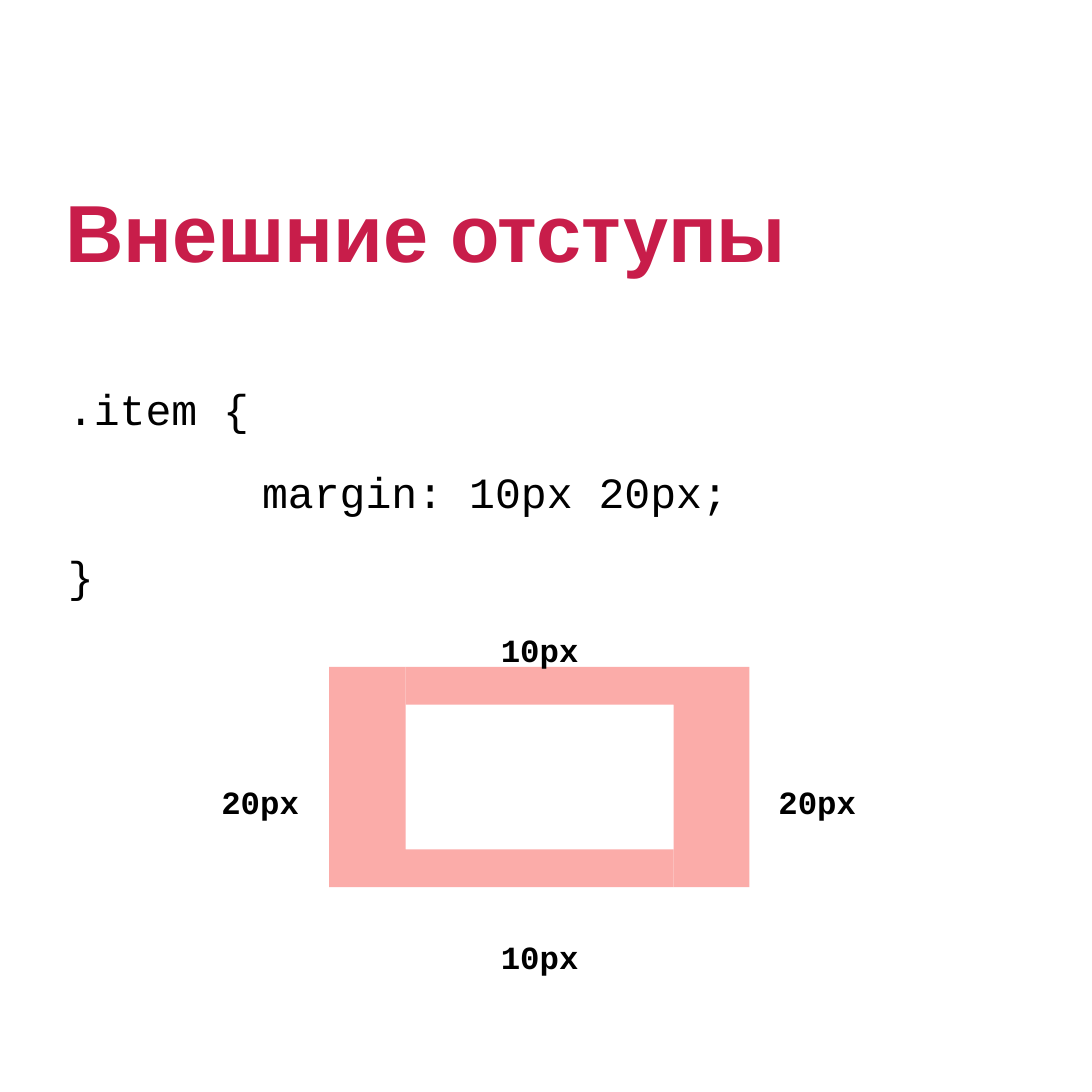
from pptx import Presentation
from pptx.dml.color import RGBColor
from pptx.enum.text import MSO_ANCHOR
from pptx.util import Inches, Pt

TOP = MSO_ANCHOR.TOP
BLANK_LAYOUT = 6


def color(value):
    return RGBColor.from_string(value)


class MarginSlide:
    """Draws the text and the margin diagram in one style."""

    code_font = "Courier New"
    heading_font = "Arial"
    ink = "000000"
    accent = "C81D4A"
    margin_fill = "FBACA9"

    def __init__(self, presentation):
        self.slide = presentation.slides.add_slide(presentation.slide_layouts[BLANK_LAYOUT])

    def text_box(self, left, top, width, height):
        shape = self.slide.shapes.add_textbox(
            Inches(left), Inches(top), Inches(width), Inches(height))
        frame = shape.text_frame
        frame.word_wrap = True
        frame.vertical_anchor = TOP
        frame.margin_left = frame.margin_top = Inches(0.01)
        frame.margin_right = frame.margin_bottom = 0
        return frame

    def line(self, paragraph, text, size, bold=False, font=code_font, fill=ink,
             indent=0, before=1):
        paragraph.space_before = Pt(before)
        paragraph._p.get_or_add_pPr().set("marL", str(Inches(indent)))
        run = paragraph.add_run()
        run.text = text
        run.font.name = font
        run.font.size = Pt(size)
        run.font.bold = bold
        run.font.color.rgb = color(fill)

    def title(self, text):
        frame = self.text_box(0.66, 1.86, 7.62, 1.93)
        self.line(frame.paragraphs[0], text, 60, True, self.heading_font, self.accent)

    def code(self, lines):
        frame = self.text_box(0.69, 3.93, 6.84, 2.98)
        for index, (text, size, bold, indent, before) in enumerate(lines):
            paragraph = frame.add_paragraph() if index else frame.paragraphs[0]
            self.line(paragraph, text, size, bold, indent=indent, before=before)

    def label(self, text, left, top):
        frame = self.text_box(left, top, 0.83, 0.43)
        self.line(frame.paragraphs[0], text, 24, True)

    def band(self, *outlines):
        outlines = [[(Inches(x), Inches(y)) for x, y in outline] for outline in outlines]
        builder = self.slide.shapes.build_freeform(*outlines[0][0])
        for index, outline in enumerate(outlines):
            if index:
                builder.move_to(*outline[0])
            builder.add_line_segments(outline[1:], close=True)
        shape = builder.convert_to_shape()
        shape.shadow.inherit = False
        shape.fill.solid()
        shape.fill.fore_color.rgb = color(self.margin_fill)
        shape.line.fill.background()


def main():
    presentation = Presentation()
    presentation.slide_width = presentation.slide_height = Inches(11.25)
    page = MarginSlide(presentation)

    outer_left, inner_left, inner_right, outer_right = 3.39, 4.18, 6.94, 7.72
    outer_top, inner_top, inner_bottom, outer_bottom = 6.87, 7.26, 8.75, 9.14

    page.title("Внешние отступы")
    page.band([(outer_right, outer_top), (inner_left, outer_top),
               (inner_left, inner_top), (inner_right, inner_top),
               (inner_right, outer_bottom), (outer_right, outer_bottom)])
    page.code([
        (".item {", 32, False, 0, 1),
        ("margin: 10px 20px;", 32, False, 2, 23.4),
        ("}", 32, False, 0, 23.4),
        ("10px", 24, True, 4.46, 21.6),
    ])
    for text, left, top in (("20px", 8.01, 8.05), ("10px", 5.15, 9.65), ("20px", 2.27, 8.05)):
        page.label(text, left, top)
    page.band(
        [(inner_left, outer_top), (outer_left, outer_top),
         (outer_left, outer_bottom), (inner_left, outer_bottom)],
        [(inner_right, inner_bottom), (inner_left, inner_bottom),
         (inner_left, outer_bottom), (inner_right, outer_bottom)])

    presentation.save("out.pptx")


if __name__ == "__main__":
    main()
